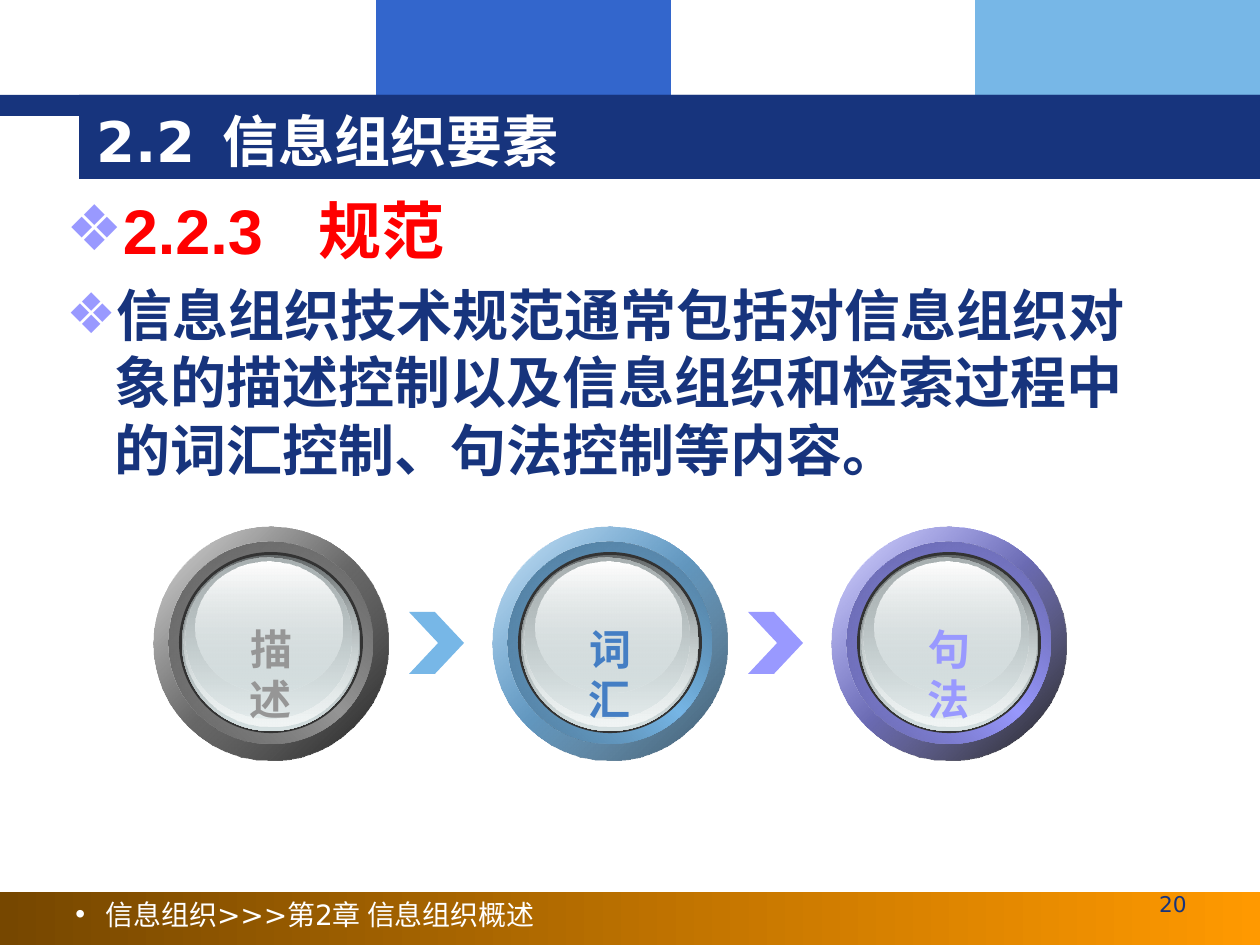
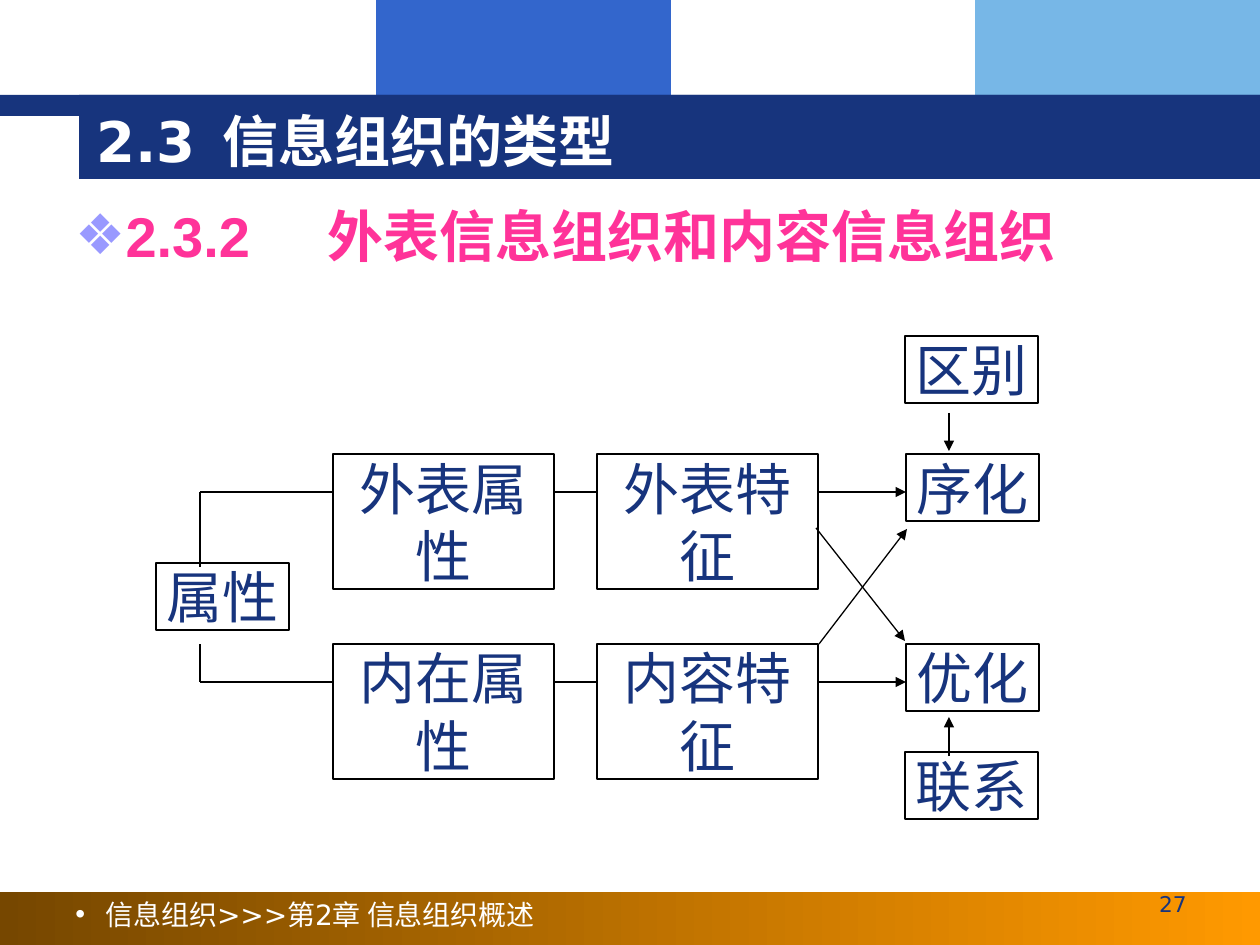
"""Two lecture slides on organising information."""
from dataclasses import dataclass

from lxml import etree
from pptx import Presentation
from pptx.dml.color import RGBColor
from pptx.enum.shapes import MSO_CONNECTOR, MSO_SHAPE
from pptx.enum.text import MSO_ANCHOR, PP_ALIGN
from pptx.oxml.ns import qn
from pptx.util import Pt

RECT, OVAL, CHEVRON = MSO_SHAPE.RECTANGLE, MSO_SHAPE.OVAL, MSO_SHAPE.CHEVRON
STRAIGHT = MSO_CONNECTOR.STRAIGHT
LEFT, CENTER = PP_ALIGN.LEFT, PP_ALIGN.CENTER
TOP, MIDDLE = MSO_ANCHOR.TOP, MSO_ANCHOR.MIDDLE
SCALE = 914400 / 126  # EMU in one pixel
WIDE, HIGH = 1260, 945
INCH = 126


@dataclass(frozen=True)
class Theme:
    """Colours, fonts and type sizes of the deck."""
    navy: str = "17347D"
    blue: str = "3366CC"
    sky: str = "77B7E7"
    lilac: str = "9999FF"
    gray: str = "969696"
    steel: str = "447EC4"
    white: str = "FFFFFF"
    black: str = "000000"
    red: str = "FF0000"
    pink: str = "FF3399"
    brown: str = "764700"
    orange: str = "FF9900"
    rim: str = "333333"
    glass: str = "D6E1E2"
    sans: str = "DejaVu Sans"
    body: str = "Arial"
    serif: str = "Times New Roman"
    asian: str = "Noto Sans CJK SC"
    huge: float = 36
    large: float = 32
    label: float = 24
    foot: float = 16
    page: float = 12.4
    rule: float = 0.74


T = Theme()


def px(n):
    """Turn pixels into EMU."""
    return round(n * SCALE)


def rgb(code):
    """Make a colour from its hex code."""
    return RGBColor.from_string(code)


def dim(code, part):
    """Darken a hex colour to a part of its strength."""
    return "".join(f"{round(int(code[i:i + 2], 16) * part):02X}" for i in (0, 2, 4))


def blend(shape, stops, angle):
    """Fill with a gradient of (position, colour, opacity) stops, in percent."""
    shape.fill.background()
    grad = etree.Element(qn("a:gradFill"), rotWithShape="1")
    row = etree.SubElement(grad, qn("a:gsLst"))
    for pos, code, solid in stops:
        stop = etree.SubElement(row, qn("a:gs"), pos=str(pos * 1000))
        tint = etree.SubElement(stop, qn("a:srgbClr"), val=code)
        if solid < 100:
            etree.SubElement(tint, qn("a:alpha"), val=str(solid * 1000))
    etree.SubElement(grad, qn("a:lin"), ang=str(angle * 60000), scaled="0")
    props = shape.element.spPr
    props.replace(props.find(qn("a:noFill")), grad)


def draw(slide, kind, box, fill=None, line=None):
    """Add a flat preset shape."""
    shape = slide.shapes.add_shape(kind, *map(px, box))
    shape.shadow.inherit = False
    if fill:
        shape.fill.solid()
        shape.fill.fore_color.rgb = rgb(fill)
    if line:
        shape.line.color.rgb = rgb(line)
        shape.line.width = Pt(T.rule)
    else:
        shape.line.fill.background()
    return shape


def style(para, size, color, font, bold=False, align=LEFT, lead=None,
          before=0, bullet=None, hang=0, tab=None):
    """Format a paragraph: spacing, bullet, tab stop and font."""
    para.alignment = align
    para.line_spacing = lead or Pt(size * 1.2)
    para.space_before = Pt(before)
    props = para._p.get_or_add_pPr()
    if bullet:
        mark, tint = bullet
        props.set("marL", str(px(hang)))
        props.set("indent", str(-px(hang)))
        paint = etree.SubElement(props, qn("a:buClr"))
        etree.SubElement(paint, qn("a:srgbClr"), val=tint)
        etree.SubElement(props, qn("a:buFont"), typeface=T.body)
        etree.SubElement(props, qn("a:buChar"), char=mark)
    if tab:
        stops = etree.SubElement(props, qn("a:tabLst"))
        etree.SubElement(stops, qn("a:tab"), pos=str(px(tab)), algn="l")
    para.font.size = Pt(size)
    para.font.bold = bold
    para.font.color.rgb = rgb(color)
    para.font.name = font
    etree.SubElement(props.find(qn("a:defRPr")), qn("a:ea"), typeface=T.asian)


def write(slide, box, lines, wrap=True):
    """Add a text box; each line is a text and its style."""
    frame = slide.shapes.add_textbox(*map(px, box)).text_frame
    frame.word_wrap = wrap
    for i, (text, look) in enumerate(lines):
        para = frame.add_paragraph() if i else frame.paragraphs[0]
        para.text = text
        style(para, **look)


def link(slide, start, end, arrow=False):
    """Draw a thin line, with an arrowhead at its end if asked."""
    line = slide.shapes.add_connector(STRAIGHT, *map(px, start + end))
    line.line.color.rgb = rgb(T.black)
    line.line.width = Pt(T.rule)
    if arrow:
        etree.SubElement(line.line._get_or_add_ln(), qn("a:tailEnd"), type="triangle")
    etree.SubElement(line.element.spPr, qn("a:effectLst"))


def frame_slide(deck, title, page):
    """Start a slide with the bands, footer, page number and title."""
    slide = deck.slides.add_slide(deck.slide_layouts[5])
    draw(slide, RECT, (376, 0, 295, 116), T.blue)
    draw(slide, RECT, (975, 0, WIDE - 975, 116), T.sky)
    bar = draw(slide, RECT, (0, 892, WIDE, HIGH - 892))
    blend(bar, [(0, T.brown, 100), (100, T.orange, 100)], 0)
    draw(slide, RECT, (0, 95, WIDE, 21), T.navy)
    draw(slide, RECT, (79, 95, WIDE - 79, 84), T.navy)
    write(slide, (63, 891, 557, 44), [
        ("信息组织>>>第2章 信息组织概述",
         dict(size=T.foot, color=T.white, font=T.sans, bullet=("•", T.white), hang=30))])
    write(slide, (1126, 890, 94, 44), [
        (str(page), dict(size=T.page, color=T.navy, font=T.sans, align=CENTER, lead=0.8))])

    head = slide.shapes.title
    head.left, head.top, head.width, head.height = map(px, (84, 101, 1091, 78))
    head.text_frame.text = title
    head.text_frame.vertical_anchor = MIDDLE
    style(head.text_frame.paragraphs[0], T.large, T.white, T.sans, bold=True, tab=INCH)
    slide.shapes.element.append(head.element)  # bring in front of the bands
    return slide


def point(text, size, color, before=8):
    """Describe a bold body line with a diamond bullet."""
    return text, dict(size=size, color=color, font=T.body, bold=True, before=before,
                      bullet=("❖", T.lilac), hang=48, tab=2 * INCH)


def button(slide, left, top, text, color, ink, end):
    """Draw a glass button in a metal ring, with its label."""
    low, mid = dim(color, 0.54), dim(color, 0.635)
    outer, inner = (0, 0, 234, 233), (15, 15, 204, 202)
    layers = [
        (outer, 45, [(0, T.white, 100), (50, color, 100), (100, T.white, 100)]),
        (outer, 45, [(0, color, 32), (100, *end)]),
        (inner, 315, [(0, low, 100), (50, color, 100), (100, low, 100)]),
        (inner, 45, [(0, mid, 100), (100, color, 0)]),
        ((25, 25, 184, 181), 0, None),
        ((28, 28, 178, 176), 90, [(0, "636869", 100), (100, T.glass, 100)]),
        ((30, 29, 174, 171), 90, [(0, T.glass, 0), (100, "F1F5F5", 100)]),
        ((32, 31, 165, 160), 90, [(0, "AAB2B3", 100), (100, T.glass, 48)]),
        ((42, 35, 146, 130), 90, [(0, T.white, 100), (100, T.glass, 38)]),
    ]
    for (x, y, w, h), angle, stops in layers:
        disc = draw(slide, OVAL, (left + x, top + y, w, h), T.rim)
        if stops:
            blend(disc, stops, angle)
    write(slide, (left + 63, top + 90, 108, 63), [
        (text, dict(size=T.label, color=ink, font=T.body, bold=True, align=CENTER))],
        wrap=False)


def chain(slide, left, top):
    """Set three buttons in a row with chevrons between them."""
    shade = (T.black, 90)
    steps = [("描述", T.gray, T.gray, shade),
             ("词汇", T.sky, T.steel, (dim(T.sky, 0.46), 100)),
             ("句法", T.lilac, T.lilac, shade)]
    pitch = 339
    for i, step in enumerate(steps):
        x = left + i * pitch
        button(slide, x, top, *step)
        if i:
            sign = draw(slide, CHEVRON, (x - 84, top + 85, 55, 62), steps[i][1])
            sign.adjustments[0] = 0.53


def node(slide, box, text, font):
    """Draw an outlined box with centred text."""
    shape = draw(slide, RECT, box, T.white, T.black)
    frame = shape.text_frame
    frame.margin_left = frame.margin_right = frame.margin_top = frame.margin_bottom = 0
    frame.word_wrap = True
    frame.vertical_anchor = TOP
    frame.text = text
    style(frame.paragraphs[0], T.large, T.navy, font, align=CENTER)


def tree(slide, left, top):
    """Draw the map from attributes through features to aims."""
    def put(x, y, w, h, text, font=T.serif):
        node(slide, (left + x, top + y, w, h), text, font)

    def join(x1, y1, x2, y2, arrow=False):
        link(slide, (left + x1, top + y1), (left + x2, top + y2), arrow)

    near, far, aim, trunk = 177, 441, 750, 44
    wide, small, tall, short = 221, 133, 135, 67
    put(0, 227, small, short, "属性", T.asian)
    rows = [(118, 231, "外表属性", "外表特征", "序化"),
            (308, 308, "内在属性", "内容特征", "优化")]
    for y, stem, trait, mark, goal in rows:
        put(near, y, wide, tall, trait)
        put(far, y, wide, tall, mark, T.asian)
        put(aim, y, small, short, goal)
        mid = y + 38
        join(trunk, mid, trunk, stem)
        join(trunk, mid, near, mid)
        join(near + wide, mid, far, mid)
        join(far + wide, mid, aim, mid, True)
    join(663, 308, 751, 193, True)
    join(660, 192, 749, 305, True)
    put(749, 0, small, short, "区别")
    put(749, 416, small, short, "联系")
    join(793, 77, 793, 115, True)
    join(793, 420, 793, 381, True)


def norms(deck):
    """Build the slide on norms."""
    slide = frame_slide(deck, "2.2\t信息组织要素", 20)
    write(slide, (54, 185, 1134, 673), [
        point("2.2.3\t规范", T.huge, T.red, 9),
        point("信息组织技术规范通常包括对信息组织对象的描述控制以及信息组织和检索过程中"
              "的词汇控制、句法控制等内容。", T.large, T.navy)])
    chain(slide, 154, 527)


def types(deck):
    """Build the slide on kinds of organisation."""
    slide = frame_slide(deck, "2.3\t信息组织的类型", 27)
    write(slide, (63, 195, 1134, 673), [
        point("2.3.2\t外表信息组织和内容信息组织", T.large, T.pink)])
    tree(slide, 156, 336)


def main():
    """Build and save the deck."""
    deck = Presentation()
    deck.slide_width, deck.slide_height = px(WIDE), px(HIGH)
    norms(deck)
    types(deck)
    deck.save("out.pptx")


main()
